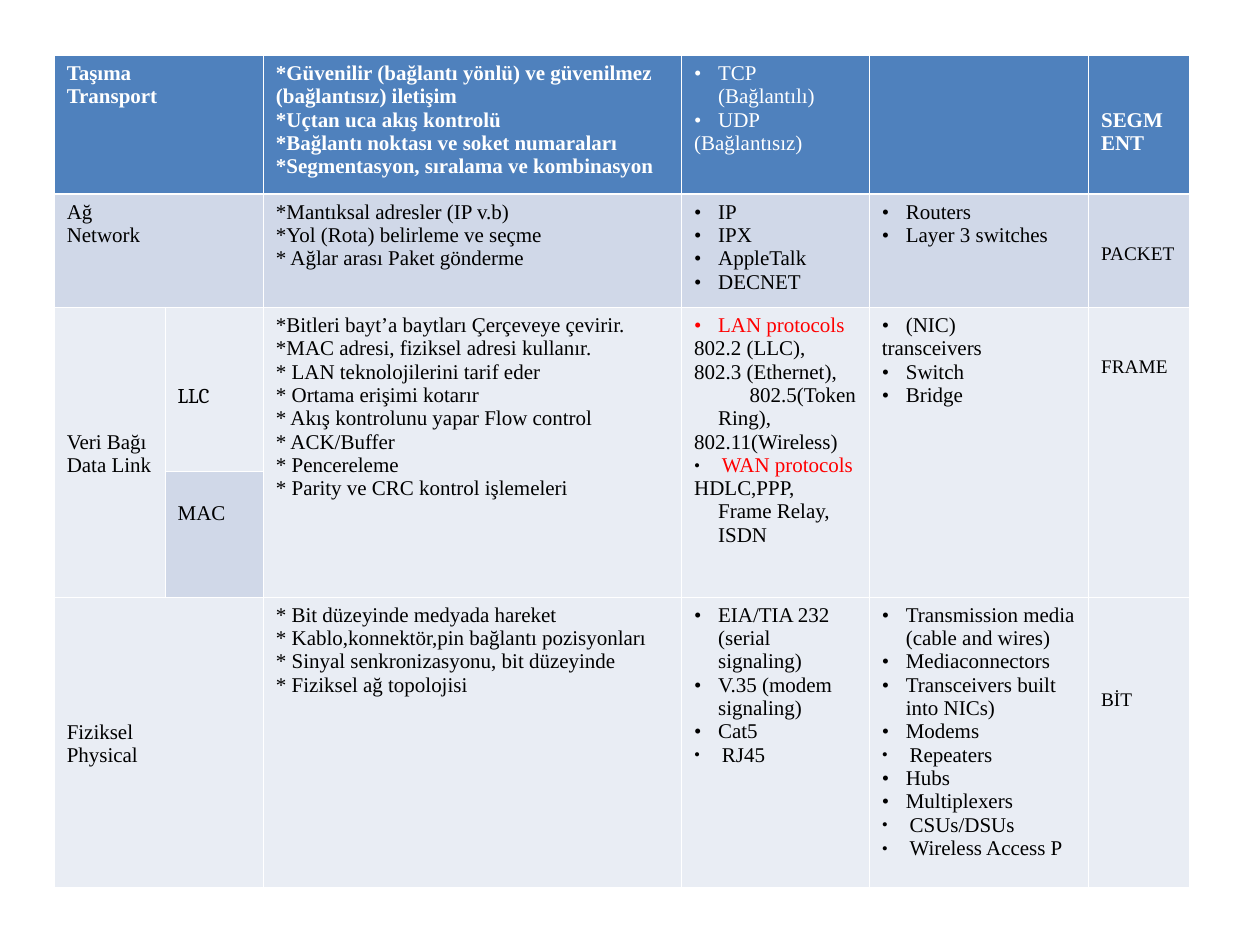
from dataclasses import dataclass
from lxml import etree
from pptx import Presentation
from pptx import util as u
from pptx.dml.color import RGBColor
from pptx.oxml import ns

BLUE, PALE, LIGHT = "4F81BD", "D0D8E8", "E9EDF4"
WHITE, BLACK, RED = "FFFFFF", "000000", "FF0000"


def color(value):
    return RGBColor.from_string(value)


def child(parent, tag, **attributes):
    return etree.SubElement(parent, ns.qn(tag), attributes)


@dataclass
class Line:
    text: str
    left: float = 0
    first: float = 0
    mark: str = ""
    mark_size: int = 100
    color: str = ""


@dataclass
class Entry:
    row: int
    column: int
    lines: list
    lead: float = 0
    size: int = 12
    font: str = "Times New Roman"
    bold: bool = False


def plain(*texts):
    return [Line(text) for text in texts]


def bullets(*texts):
    return [Line(text, 1.9, -1.9, "•") for text in texts]


def small_bullets(*texts, ink=""):
    return [Line(text, 2.2, -2.2, "•", 83, ink) for text in texts]


def hanging(*texts):
    return [Line(text, 1.9, -1.9) for text in texts]


class Board:
    """Slide builder on a grid of 100 columns by 75 rows."""

    def __init__(self):
        self.deck = Presentation()
        self.deck.slide_width, self.deck.slide_height = u.Inches(10), u.Inches(7.5)
        self.page = self.deck.slides.add_slide(self.deck.slide_layouts[6])

    def across(self, columns):
        return round(self.deck.slide_width * columns / 100)

    def down(self, rows):
        return round(self.deck.slide_height * rows / 75)

    def table(self, left, top, widths, heights):
        frame = self.page.shapes.add_table(
            len(heights), len(widths), self.across(left), self.down(top),
            self.across(sum(widths)), self.down(sum(heights)))
        table = frame.table
        table.first_row = table.horz_banding = False
        for column, width in zip(table.columns, widths):
            column.width = self.across(width)
        for row, height in zip(table.rows, heights):
            row.height = self.down(height)
        return table

    def paint(self, cell, fill, top=0.45, bottom=0.45):
        properties = cell._tc.get_or_add_tcPr()
        for side, width in zip("LRTB", (0.45, 0.45, top, bottom)):
            border = child(properties, f"a:ln{side}", w=str(u.Pt(width)))
            child(child(border, "a:solidFill"), "a:srgbClr", val=WHITE)
        cell.fill.solid()
        cell.fill.fore_color.rgb = color(fill)

    def fill_text(self, cell, entry, ink):
        cell.margin_left = cell.margin_right = self.across(1)
        cell.margin_top = self.down(0.5 + entry.lead)
        cell.margin_bottom = self.down(0.5)
        for index, line in enumerate(entry.lines):
            frame = cell.text_frame
            para = frame.add_paragraph() if index else frame.paragraphs[0]
            para.text = line.text
            self.indent(para, line, line.color or ink)
            para.font.name, para.font.size = entry.font, u.Pt(entry.size)
            para.font.bold = entry.bold
            para.font.color.rgb = color(line.color or ink)

    def indent(self, para, line, ink):
        properties = para._p.get_or_add_pPr()
        properties.set("marL", str(self.across(line.left)))
        properties.set("indent", str(self.across(line.first)))
        if line.mark:
            mark_ink = BLACK if line.mark_size < 100 else ink
            child(child(properties, "a:buClr"), "a:srgbClr", val=mark_ink)
            child(properties, "a:buSzPct", val=str(line.mark_size * 1000))
            child(properties, "a:buFont", typeface="Times New Roman")
            child(properties, "a:buChar", char=line.mark)
        else:
            child(properties, "a:buNone")


ENTRIES = [
    Entry(0, 0, plain("Taşıma", "Transport"), bold=True),
    Entry(0, 2, plain(
        "*Güvenilir (bağlantı yönlü) ve güvenilmez (bağlantısız) iletişim",
        "*Uçtan uca akış kontrolü",
        "*Bağlantı noktası ve soket numaraları",
        "*Segmentasyon, sıralama ve kombinasyon"), bold=True),
    Entry(0, 3, bullets("TCP (Bağlantılı)", "UDP") + hanging("(Bağlantısız)")),
    Entry(0, 5, plain("SEGMENT"), lead=3.7, bold=True),
    Entry(1, 0, plain("Ağ", "Network")),
    Entry(1, 2, plain(
        "*Mantıksal adresler (IP v.b)",
        "*Yol (Rota) belirleme ve seçme",
        "* Ağlar arası Paket gönderme")),
    Entry(1, 3, bullets("IP", "IPX", "AppleTalk", "DECNET")),
    Entry(1, 4, bullets("Routers", "Layer 3 switches")),
    Entry(1, 5, plain("PACKET"), lead=3.4, size=11),
    Entry(2, 0, plain("Veri Bağı", "Data Link"), lead=9.3),
    Entry(2, 1, plain("LLC"), lead=5.6, font="Cambria"),
    Entry(2, 2, plain(
        "*Bitleri bayt’a baytları Çerçeveye çevirir.",
        "*MAC adresi, fiziksel adresi kullanır.",
        "* LAN teknolojilerini tarif eder",
        "* Ortama erişimi kotarır",
        "* Akış kontrolunu yapar Flow control",
        "* ACK/Buffer",
        "* Pencereleme",
        "* Parity ve CRC kontrol işlemeleri")),
    Entry(2, 3, [
        Line("LAN protocols", 1.9, -1.9, "•", color=RED),
        *hanging("802.2 (LLC),", "802.3 (Ethernet),"),
        Line("802.5(Token Ring),", 1.9, 2.5),
        *hanging("802.11(Wireless)"),
        *small_bullets("WAN protocols", ink=RED),
        *hanging("HDLC,PPP,\vFrame Relay, ISDN")]),
    Entry(2, 4, bullets("(NIC)") + hanging("transceivers")
          + bullets("Switch", "Bridge")),
    Entry(2, 5, plain("FRAME"), lead=3.4, size=11),
    Entry(3, 1, plain("MAC"), lead=1.9),
    Entry(4, 0, plain("Fiziksel", "Physical"), lead=9.3),
    Entry(4, 2, plain(
        "* Bit düzeyinde medyada hareket",
        "* Kablo,konnektör,pin bağlantı pozisyonları",
        "* Sinyal senkronizasyonu, bit düzeyinde",
        "* Fiziksel ağ topolojisi")),
    Entry(4, 3, bullets("EIA/TIA 232 (serial signaling)",
                        "V.35 (modem signaling)", "Cat5")
          + small_bullets("RJ45")),
    Entry(4, 4, bullets("Transmission media (cable and wires)", "Mediaconnectors",
                        "Transceivers built into NICs)", "Modems")
          + small_bullets("Repeaters") + bullets("Hubs", "Multiplexers")
          + small_bullets("CSUs/DSUs", "Wireless Access P")),
    Entry(4, 5, plain("BİT"), lead=6.8, size=11),
]


def main():
    board = Board()
    layers = board.table(4.3, 4.4, (8.8, 7.8, 33.2, 14.9, 17.4, 8), (11, 9, 13, 10, 23))
    for row, fill in enumerate((BLUE, PALE, LIGHT, LIGHT, LIGHT)):
        for column in range(6):
            board.paint(layers.cell(row, column),
                        PALE if (row, column) == (3, 1) else fill,
                        top=1.5 if row == 1 else 0.45,
                        bottom=1.5 if row == 0 else 0.45)
    for row in (0, 1, 4):
        layers.cell(row, 0).merge(layers.cell(row, 1))
    for column in (0, 2, 3, 4, 5):
        layers.cell(2, column).merge(layers.cell(3, column))
    for entry in ENTRIES:
        board.fill_text(layers.cell(entry.row, entry.column), entry,
                        BLACK if entry.row else WHITE)
    board.deck.save("out.pptx")


if __name__ == "__main__":
    main()
